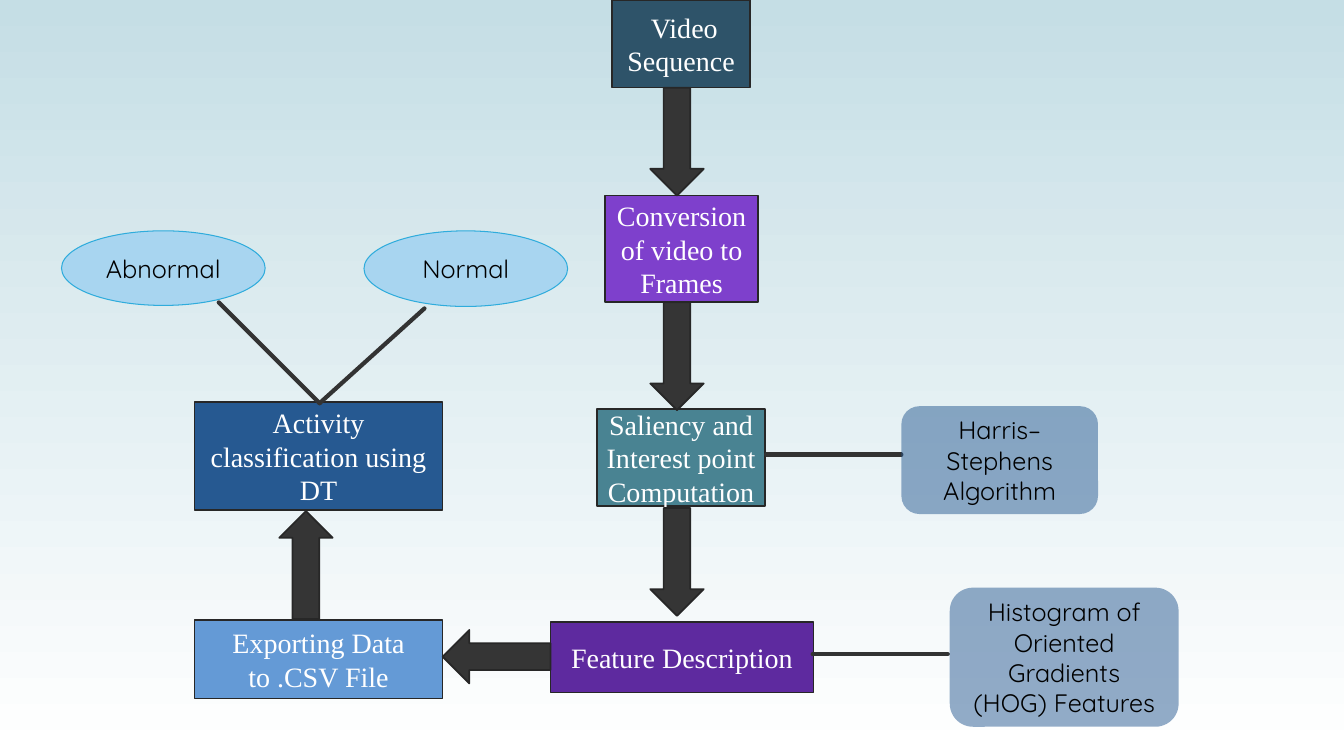
from lxml.etree import SubElement
from pptx import Presentation
from pptx.dml.color import RGBColor
from pptx.enum.shapes import MSO_CONNECTOR, MSO_SHAPE
from pptx.enum.text import MSO_ANCHOR, PP_ALIGN
from pptx.oxml.ns import qn
from pptx.util import Inches, Pt


def color(value):
    return RGBColor.from_string(value)


def apply(target, values):
    for name, value in values.items():
        setattr(target, name, value)


class FlowSlide:
    """Holds the slide and the style of the flow chart."""

    step_font = {"name": "Times New Roman", "size": Pt(20)}
    note_font = {"name": "Quicksand", "size": Pt(18)}
    frame_format = {
        "word_wrap": True,
        "vertical_anchor": MSO_ANCHOR.MIDDLE,
        "margin_left": Inches(0.09),
        "margin_right": Inches(0.09),
    }
    border, arrow_fill, link_color = "272727", "353535", "333333"

    def __init__(self, presentation):
        self.slide = presentation.slides.add_slide(presentation.slide_layouts[6])

    def background(self, top, bottom):
        fill = self.slide.background.fill
        fill.gradient()
        fill.gradient_angle = 270
        for stop, value, position in zip(fill.gradient_stops, (top, bottom), (0, 1)):
            stop.color.rgb = color(value)
            stop.position = position

    def shape(self, kind, box, fill, line=None, width=1.25):
        shape = self.slide.shapes.add_shape(kind, *map(Inches, box))
        shape.shadow.inherit = False
        shape.fill.solid()
        shape.fill.fore_color.rgb = color(fill)
        if line:
            shape.line.color.rgb = color(line)
            shape.line.width = Pt(width)
        else:
            shape.line.fill.background()
        return shape

    def label(self, shape, text, font_format, font_color):
        apply(shape.text_frame, self.frame_format)
        paragraph = shape.text_frame.paragraphs[0]
        paragraph.alignment = PP_ALIGN.CENTER
        run = paragraph.add_run()
        run.text = text
        apply(run.font, font_format)
        run.font.color.rgb = color(font_color)

    def step(self, text, box, fill):
        shape = self.shape(MSO_SHAPE.RECTANGLE, box, fill, self.border)
        self.label(shape, text, self.step_font, "FFFFFF")

    def arrow(self, kind, box):
        self.shape(kind, box, self.arrow_fill, self.border)

    def method(self, text, box):
        shape = self.shape(MSO_SHAPE.ROUNDED_RECTANGLE, box, "265991")
        solid_color = shape._element.spPr.find(qn("a:solidFill"))[0]
        SubElement(solid_color, qn("a:alpha")).set("val", "50000")
        self.label(shape, text, self.note_font, "000000")

    def outcome(self, text, box):
        shape = self.shape(MSO_SHAPE.OVAL, box, "A8D5F0", "2FACDC", 0.75)
        self.label(shape, text, self.note_font, "000000")

    def link(self, start, end):
        connector = self.slide.shapes.add_connector(
            MSO_CONNECTOR.STRAIGHT, *map(Inches, start + end))
        connector.line.color.rgb = color(self.link_color)
        connector.line.width = Pt(3)
        properties = connector._element.spPr
        properties.find(qn("a:ln")).set("cap", "rnd")
        SubElement(properties, qn("a:effectLst"))


presentation = Presentation()
apply(presentation, {"slide_width": Inches(13.33), "slide_height": Inches(7.5)})
flow = FlowSlide(presentation)
flow.background("C5DEE5", "FFFFFF")

# Processing steps
for text, box, fill in (
    (" Video Sequence", (6.07, 0, 1.37, 0.87), "2E5369"),
    ("Conversion of video to Frames", (6, 1.94, 1.52, 1.06), "7E40CC"),
    ("Saliency and Interest point Computation", (5.92, 4.06, 1.67, 0.96), "498392"),
    ("Feature Description", (5.46, 6.17, 2.61, 0.7), "5E2A9F"),
    ("Exporting Data to .CSV File", (1.93, 6.15, 2.46, 0.78), "649AD6"),
    ("Activity classification using DT", (1.93, 3.99, 2.46, 1.07), "265991"),
):
    flow.step(text, box, fill)

# Block arrows between the steps
arrow_length, arrow_width = 1.07, 0.53
for top in (0.87, 3, 5.04):
    flow.arrow(MSO_SHAPE.DOWN_ARROW, (6.45, top, arrow_width, arrow_length))
flow.arrow(MSO_SHAPE.LEFT_ARROW, (4.39, 6.25, arrow_length, arrow_width))
flow.arrow(MSO_SHAPE.UP_ARROW, (2.77, 5.07, arrow_width, arrow_length))

# Links to methods and outcomes
classifier_top = (3.17, 4)
for start, end in (
    ((7.6, 4.51), (8.94, 4.51)),
    ((8.06, 6.49), (9.4, 6.49)),
    ((2.17, 3), classifier_top),
    (classifier_top, (4.21, 3.06)),
):
    flow.link(start, end)

# Methods used by the steps
flow.method("Harris–Stephens Algorithm", (8.94, 4.03, 1.95, 1.07))
flow.method("Histogram of Oriented Gradients (HOG)\u00a0Features", (9.42, 5.83, 2.27, 1.38))

# Classification outcomes
flow.outcome("Abnormal", (0.61, 2.29, 2.02, 0.74))
flow.outcome("Normal", (3.61, 2.29, 2.02, 0.75))

presentation.save("out.pptx")
